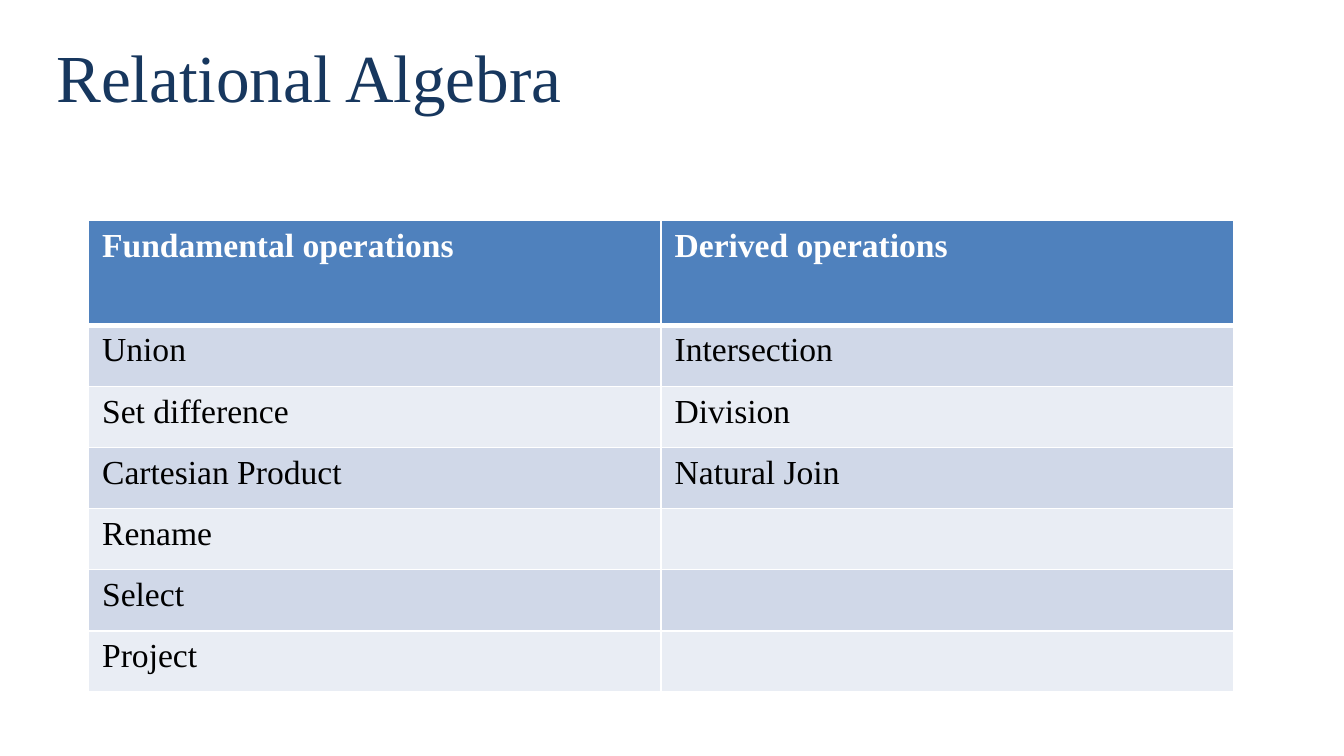
"""Build the Relational Algebra slide: a title and a table of operations."""
from typing import NamedTuple

from lxml.etree import SubElement
from pptx import Presentation
from pptx.dml.color import RGBColor
from pptx.enum.text import MSO_ANCHOR
from pptx.oxml.ns import qn
from pptx.util import Inches, Pt

FONT = "Times New Roman"
BORDER_COLOR = "FFFFFF"
BAND_FILLS = ("D0D8E8", "E9EDF4")
TABLE_WIDTH = 8.52
TABLE_HEIGHT = 3.51
HEADER_HEIGHT = 0.78


class Operations(NamedTuple):
    fundamental: str
    derived: str = ""


class TextStyle(NamedTuple):
    size: int
    color: str
    bold: bool = False


class Borders(NamedTuple):
    lnL: int = 1
    lnR: int = 1
    lnT: int = 1
    lnB: int = 1


TITLE_STYLE = TextStyle(36, "17375E")
HEADER_STYLE = TextStyle(18, "FFFFFF", True)
BODY_STYLE = TextStyle(18, "000000")
HEADER_BORDERS = Borders(lnB=3)
FIRST_ROW_BORDERS = Borders(lnT=3)

HEADER = Operations("Fundamental operations", "Derived operations")
ROWS = [
    Operations("Union", "Intersection"),
    Operations("Set difference", "Division"),
    Operations("Cartesian Product", "Natural Join"),
    Operations("Rename"),
    Operations("Select"),
    Operations("Project"),
]
ROW_HEIGHT = (TABLE_HEIGHT - HEADER_HEIGHT) / len(ROWS)


def rgb(color: str) -> RGBColor:
    return RGBColor.from_string(color)


def write_text(text_frame, text: str, style: TextStyle) -> None:
    paragraph = text_frame.paragraphs[0]
    paragraph.text = text
    font = paragraph.font
    font.name = FONT
    font.size = Pt(style.size)
    font.bold = style.bold
    font.color.rgb = rgb(style.color)


def add_title(slide, text: str) -> None:
    title = slide.shapes.add_textbox(Inches(0.32), Inches(0.14), Inches(9.02), Inches(0.84))
    title.text_frame.word_wrap = True
    title.text_frame.vertical_anchor = MSO_ANCHOR.MIDDLE
    write_text(title.text_frame, text, TITLE_STYLE)


def add_borders(cell, borders: Borders) -> None:
    properties = cell._tc.get_or_add_tcPr()
    for tag, width in zip(Borders._fields, borders):
        line = SubElement(properties, qn(f"a:{tag}"), w=str(Pt(width)))
        fill = SubElement(line, qn("a:solidFill"))
        SubElement(fill, qn("a:srgbClr"), val=BORDER_COLOR)


def fill_row(row, operations: Operations, style: TextStyle, fill: str,
             height: float, borders: Borders) -> None:
    row.height = Inches(height)
    for cell, text in zip(row.cells, operations):
        add_borders(cell, borders)
        cell.fill.solid()
        cell.fill.fore_color.rgb = rgb(fill)
        write_text(cell.text_frame, text, style)


def add_operations_table(slide) -> None:
    table = slide.shapes.add_table(
        len(ROWS) + 1, len(HEADER),
        Inches(0.66), Inches(1.64), Inches(TABLE_WIDTH), Inches(TABLE_HEIGHT),
    ).table
    fill_row(table.rows[0], HEADER, HEADER_STYLE, "4F81BD", HEADER_HEIGHT, HEADER_BORDERS)
    for index, operations in enumerate(ROWS):
        fill = BAND_FILLS[index % len(BAND_FILLS)]
        borders = Borders() if index else FIRST_ROW_BORDERS
        fill_row(table.rows[index + 1], operations, BODY_STYLE, fill, ROW_HEIGHT, borders)


def main() -> None:
    presentation = Presentation()
    presentation.slide_width = Inches(10)
    presentation.slide_height = Inches(10 * 9 / 16)
    slide = presentation.slides.add_slide(presentation.slide_layouts[6])
    add_title(slide, "Relational Algebra")
    add_operations_table(slide)
    presentation.save("out.pptx")


if __name__ == "__main__":
    main()
